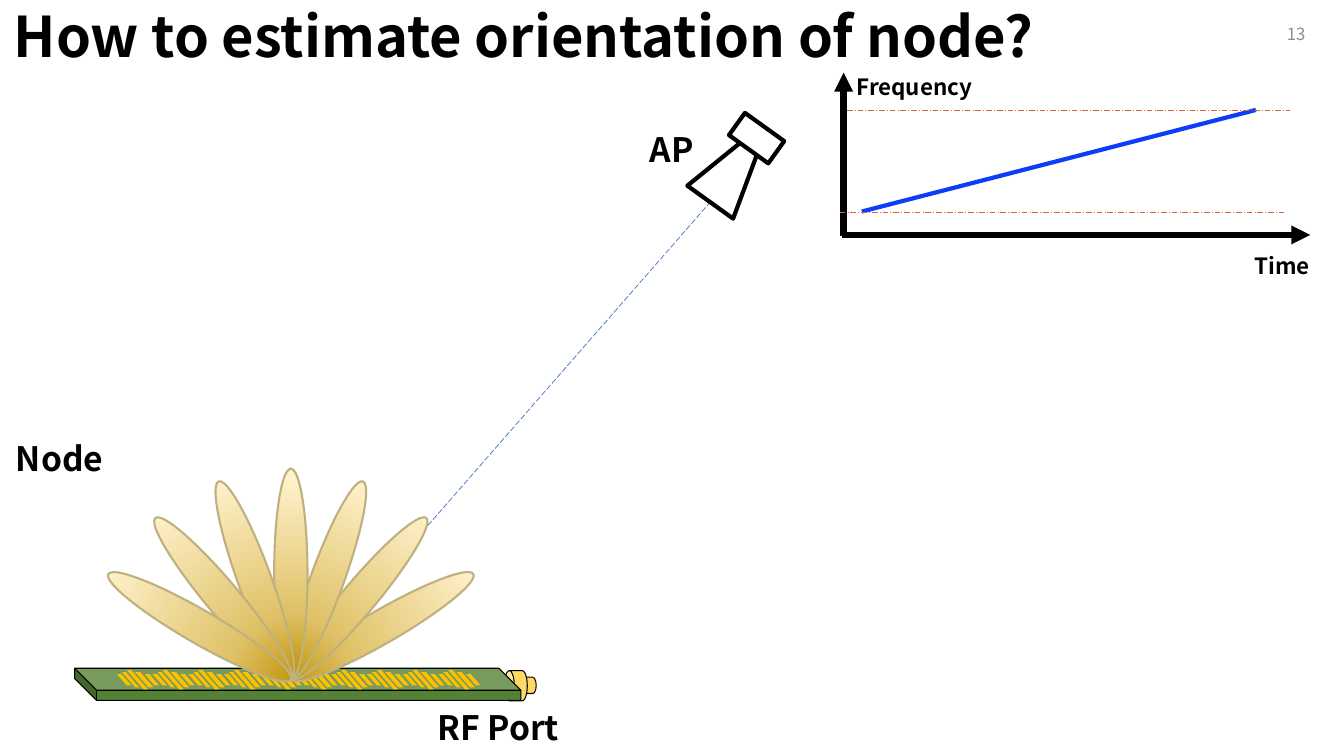
import copy
import math
from dataclasses import dataclass

import lxml.etree
import pptx
import pptx.dml.color
import pptx.enum.dml
import pptx.enum.shapes
import pptx.enum.text
import pptx.oxml.ns
import pptx.util

Cm = pptx.util.Cm
Pt = pptx.util.Pt
qn = pptx.oxml.ns.qn
SHAPE = pptx.enum.shapes.MSO_SHAPE
DASH = pptx.enum.dml.MSO_LINE
ALIGN = pptx.enum.text.PP_ALIGN
ANCHOR = pptx.enum.text.MSO_ANCHOR


@dataclass(frozen=True)
class Theme:
    font: str = "Noto Sans CJK SC"
    ink: str = "000000"
    paper: str = "FFFFFF"
    muted: str = "8C8C8C"
    sweep: str = "0C3DF8"
    ray: str = "4472C4"
    band: str = "D0663C"
    board: str = "548235"
    port: str = "FFD966"
    patch: str = "FFC000"
    lobe_edge: str = "BFB080"
    lobe_stops: tuple = ((0.04, "FFF2CC"), (0.68, "DFC167"), (1, "BF9000"))
    title_size: int = 40
    label_size: int = 24
    axis_size: int = 16
    number_size: int = 12


THEME = Theme()


def rgb(value):
    return pptx.dml.color.RGBColor.from_string(value)


def add_label(slide, box, wording, size, color=THEME.ink, bold=True, fill=None,
              align=ALIGN.LEFT, anchor=ANCHOR.TOP):
    label = slide.shapes.add_textbox(*map(Cm, box))
    if fill:
        label.fill.solid()
        label.fill.fore_color.rgb = rgb(fill)
    frame = label.text_frame
    frame.word_wrap = True
    frame.vertical_anchor = anchor
    paragraph = frame.paragraphs[0]
    paragraph.alignment = align
    run = paragraph.add_run()
    run.text = wording
    run.font.name = THEME.font
    run.font.size = Pt(size)
    run.font.bold = bold
    run.font.color.rgb = rgb(color)


def add_line(slide, start, end, color, width, dash=None, arrow=False):
    line = slide.shapes.add_connector(
        pptx.enum.shapes.MSO_CONNECTOR.STRAIGHT, *map(Cm, (*start, *end)))
    line.line.color.rgb = rgb(color)
    line.line.width = Pt(width)
    if dash:
        line.line.dash_style = dash
    properties = line._element.spPr
    if arrow:
        lxml.etree.SubElement(properties.find(qn("a:ln")), qn("a:tailEnd"),
                              type="triangle")
    lxml.etree.SubElement(properties, qn("a:effectLst"))


def add_part(slide, kind, box, fill=None, edge=None, width=0.75, rotation=0,
             adjust=None, mirrored=False):
    part = slide.shapes.add_shape(kind, *map(Cm, box))
    part.shadow.inherit = False
    part.rotation = rotation
    if adjust is not None:
        part.adjustments[0] = adjust
    if fill:
        part.fill.solid()
        part.fill.fore_color.rgb = rgb(fill)
    if edge:
        part.line.color.rgb = rgb(edge)
        part.line.width = Pt(width)
    else:
        part.line.fill.background()
    if mirrored:
        part._element.spPr.find(qn("a:xfrm")).set("flipH", "1")
    return part


def add_chirp_chart(slide):
    add_label(slide, (21.34, 1.73, 4.39, 0.61), "Frequency", THEME.axis_size,
              fill=THEME.paper)
    add_line(slide, (21.23, 5.92), (33.02, 5.92), THEME.ink, 4.5, arrow=True)
    add_line(slide, (21.26, 5.94), (21.26, 1.83), THEME.ink, 4.5, arrow=True)
    add_label(slide, (31.37, 6.22, 2.92, 0.61), "Time", THEME.axis_size,
              fill=THEME.paper)
    add_line(slide, (21.72, 5.33), (31.65, 2.77), THEME.sweep, 3)
    for left, right, level in ((21.16, 32.36, 5.36), (21.34, 32.51, 2.77)):
        add_line(slide, (left, level), (right, level), THEME.band, 0.5,
                 DASH.LONG_DASH_DOT)


def add_access_point(slide):
    add_part(slide, SHAPE.TRAPEZOID, (17.7, 3.51, 1.42, 1.75), THEME.paper,
             THEME.ink, 3, rotation=35.7, adjust=0.336)
    add_part(slide, SHAPE.RECTANGLE, (18.72, 2.87, 0.69, 1.22), THEME.paper,
             THEME.ink, 3, rotation=125.7)
    add_label(slide, (16.13, 3.12, 2.54, 1.27), "AP", THEME.label_size)


def add_board(slide):
    for connector in ((13.08, 17.04, 0.41, 0.46), (12.62, 16.99, 0.76, 0.58)):
        add_part(slide, SHAPE.CAN, connector, THEME.port, THEME.ink,
                 rotation=270, adjust=0.436)
    add_part(slide, SHAPE.CUBE, (1.88, 16.84, 11.25, 0.81), THEME.board,
             THEME.ink, adjust=0.684, mirrored=True)


def add_antenna_patches(slide):
    """Ten equal clusters of five slanted patches along the board."""
    first, pitch, middle = 2.95, 0.9, 17.13
    cluster = ((0, 0.36, 0.28), (0.13, 0.43, 0.38), (0.25, 0.53, 0.48),
               (0.46, 0.46, 0.38), (0.7, 0.36, 0.28))
    for index in range(10):
        for offset, width, height in cluster:
            left = first + index * pitch + offset
            add_part(slide, SHAPE.PARALLELOGRAM,
                     (left, middle - height / 2, width, height),
                     THEME.patch, adjust=0.869, mirrored=True)


def add_lobes(slide):
    """Beams fanned out every 20 degrees around one foot point."""
    foot_x, foot_y, width, length = 7.33, 17.12, 0.84, 5.31
    for angle in range(60, -61, -20):
        turn = math.radians(angle)
        center_x = foot_x + length / 2 * math.sin(turn)
        center_y = foot_y - length / 2 * math.cos(turn)
        lobe = add_part(slide, SHAPE.OVAL,
                        (center_x - width / 2, center_y - length / 2, width, length),
                        edge=THEME.lobe_edge, width=1.5, rotation=angle % 360)
        lobe.fill.gradient()
        lobe.fill.gradient_angle = 270
        stops = lobe._element.spPr.find(qn("a:gradFill")).find(qn("a:gsLst"))
        stops.append(copy.deepcopy(stops[-1]))
        for stop, (position, color) in zip(lobe.fill.gradient_stops, THEME.lobe_stops):
            stop.position = position
            stop.color.rgb = rgb(color)


def main():
    deck = pptx.Presentation()
    deck.slide_width, deck.slide_height = Cm(33.87), Cm(19.05)
    slide = deck.slides.add_slide(deck.slide_layouts[6])

    add_chirp_chart(slide)
    add_label(slide, (25.53, 0.33, 7.62, 1.02), "13", THEME.number_size,
              THEME.muted, bold=False, align=ALIGN.RIGHT, anchor=ANCHOR.MIDDLE)
    add_line(slide, (17.91, 5.08), (7.37, 17.15), THEME.ray, 0.5, DASH.LONG_DASH)
    add_access_point(slide)
    add_label(slide, (0.1, -0.08, 34.37, 1.96),
              "How to estimate orientation of node?", THEME.title_size)
    add_label(slide, (10.77, 17.7, 4.34, 1.27), "RF Port", THEME.label_size)
    add_board(slide)
    add_antenna_patches(slide)
    add_lobes(slide)
    add_label(slide, (0.15, 10.92, 3.66, 1.27), "Node", THEME.label_size)
    deck.save("out.pptx")


if __name__ == "__main__":
    main()
